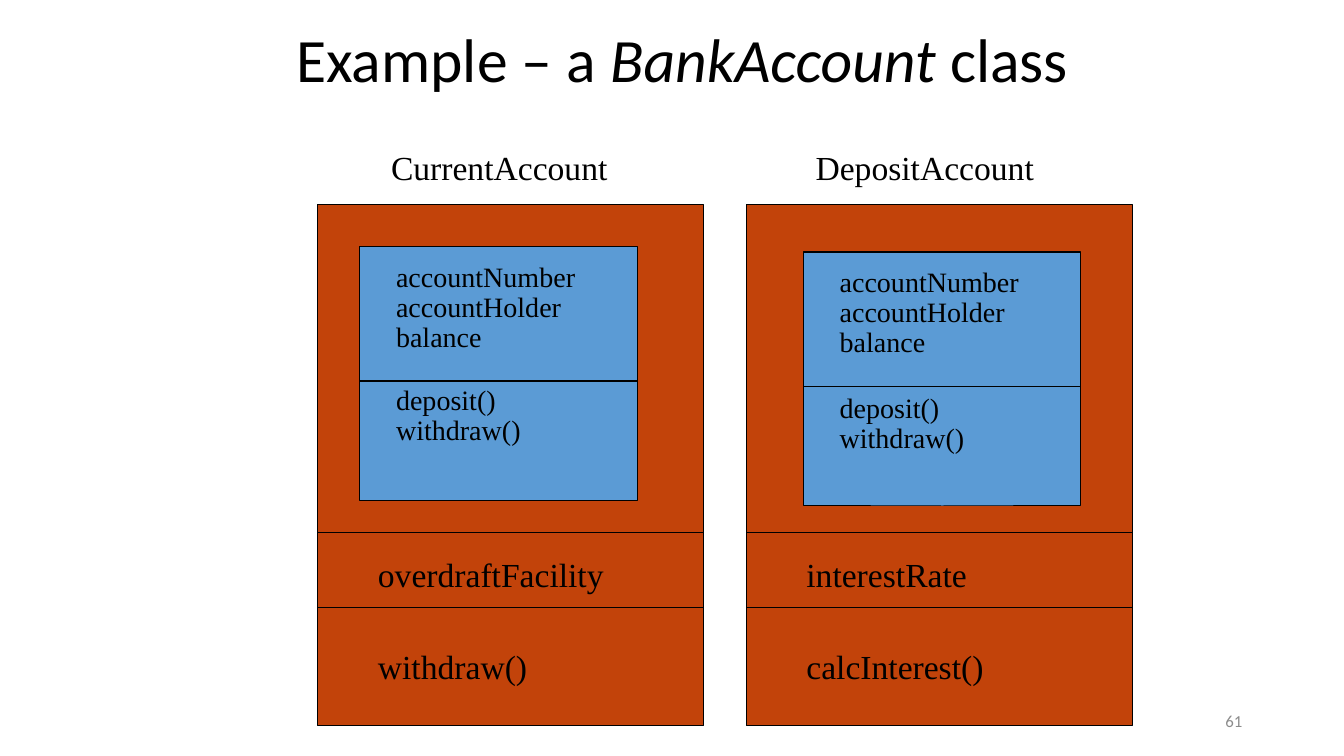
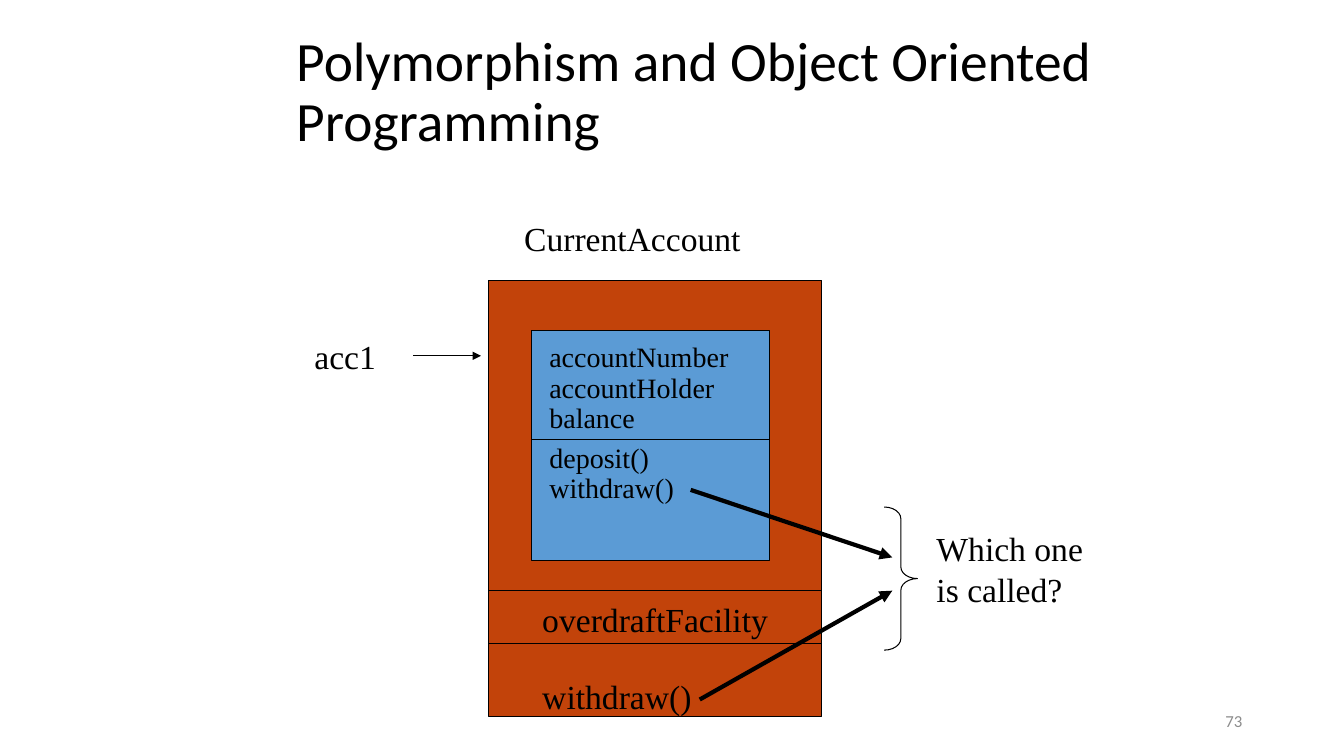
from lxml import etree
from pptx import Presentation
from pptx.dml.color import RGBColor
from pptx.enum.shapes import MSO_CONNECTOR, MSO_SHAPE
from pptx.enum.text import MSO_ANCHOR, PP_ALIGN
from pptx.oxml.ns import qn
from pptx.util import Inches, Pt

RECT, BRACE = MSO_SHAPE.RECTANGLE, MSO_SHAPE.RIGHT_BRACE
STRAIGHT = MSO_CONNECTOR.STRAIGHT
TOP, MIDDLE = MSO_ANCHOR.TOP, MSO_ANCHOR.MIDDLE
LEFT, RIGHT = PP_ALIGN.LEFT, PP_ALIGN.RIGHT

BLACK, GREY, ORANGE, BLUE = "000000", "8C8C8C", "C2430A", "5B9BD5"
SANS, SERIF = "Calibri", "Times New Roman"

FIELDS = ["accountNumber", "accountHolder", "balance"]
METHODS = ["deposit()", "withdraw()"]

# Boxes are left, top, width, height. Splits are the heights of the dividing lines.
# Pads are the text's distance from the left (and top) of its box.
WIDE = dict(splits=(5.28, 6.03), member_tops=(5.45, 6.36), member_pad=0.5,
            base_pad=(0.26, 0.11), base_size=(2.75, 2.52), base_split=1.33)
NARROW = dict(splits=(5.86, 6.38), member_tops=(5.89, 6.66), member_pad=0.43,
              base_pad=(0.08, 0.08), base_size=(2.36, 2.28), base_split=1.08)

SLIDES = [
    dict(
        title=[("Example – a ", False), ("BankAccount", True), (" class", False)],
        title_top=0, title_size=44, number="61",
        cards=[
            dict(WIDE, name="CurrentAccount", name_at=(3.78, 1.41),
                 box=(3.15, 2.03, 3.83, 5.17), base_at=(3.57, 2.45),
                 methods_gap=0, members=("overdraftFacility", "withdraw()")),
            dict(WIDE, name="DepositAccount", name_at=(7.99, 1.41),
                 box=(7.4, 2.03, 3.83, 5.17), base_at=(7.97, 2.5),
                 methods_gap=0.03, members=("interestRate", "calcInterest()")),
        ],
    ),
    dict(
        title=[("Polymorphism and Object Oriented Programming", False)],
        title_top=0.3, title_size=39.6, number="73",
        cards=[
            dict(NARROW, name="CurrentAccount", name_at=(5.1, 2.11),
                 box=(4.85, 2.78, 3.3, 4.33), base_at=(5.27, 3.28),
                 methods_gap=0, members=("overdraftFacility", "withdraw()")),
        ],
        labels=[("acc1", (3.02, 3.28, 1.33, 0.5)),
                ("Which one is called?", (9.19, 5.19, 1.83, 0.91))],
        arrows=[((4.1, 3.53), (4.77, 3.53), 0.75),
                ((6.85, 4.86), (8.85, 5.53), 3),
                ((6.94, 6.94), (8.85, 5.86), 3)],
        brace=(8.77, 5.03, 0.33, 1.42),
    ),
]


def rgb(value):
    return RGBColor.from_string(value)


def add_text(s, paragraphs, box, size=24, font=SERIF, color=BLACK,
             align=LEFT, anchor=TOP, spacing=None):
    """Each paragraph is a string or a list of (text, italic) runs."""
    tf = s.shapes.add_textbox(*map(Inches, box)).text_frame
    tf.word_wrap = True
    tf.vertical_anchor = anchor
    for i, runs in enumerate(paragraphs):
        p = tf.paragraphs[0] if i == 0 else tf.add_paragraph()
        p.alignment = align
        p.line_spacing = spacing
        for text, italic in [(runs, False)] if isinstance(runs, str) else runs:
            r = p.add_run()
            r.text = text
            r.font.name, r.font.size, r.font.italic = font, Pt(size), italic
            r.font.color.rgb = rgb(color)


def add_outlined(s, kind, box, fill=None):
    sp = s.shapes.add_shape(kind, *map(Inches, box))
    sp.shadow.inherit = False
    if fill:
        sp.fill.solid()
        sp.fill.fore_color.rgb = rgb(fill)
    else:
        sp.fill.background()
    sp.line.color.rgb = rgb(BLACK)
    sp.line.width = Pt(0.75)
    return sp


def add_line(s, start, end, width=0.75, arrow=False):
    line = s.shapes.add_connector(STRAIGHT, *map(Inches, (*start, *end)))
    line.line.color.rgb = rgb(BLACK)
    line.line.width = Pt(width)
    if arrow:
        etree.SubElement(line.line._get_or_add_ln(), qn("a:tailEnd"), type="triangle")
    etree.SubElement(line._element.spPr, qn("a:effectLst"))


def add_card(s, card):
    """Draw a subclass box with its base class nested inside."""
    x, y, w, h = card["box"]
    add_text(s, [card["name"]], (*card["name_at"], 2.42, 0.5))
    add_outlined(s, RECT, card["box"], ORANGE)
    for split, top, member in zip(card["splits"], card["member_tops"], card["members"]):
        add_line(s, (x, split), (x + w, split))
        add_text(s, [member], (x + card["member_pad"], top, 3, 0.5))

    bx, by = card["base_at"]
    bw, bh = card["base_size"]
    pad_x, pad_y = card["base_pad"]
    split = by + card["base_split"]
    add_outlined(s, RECT, (bx, by, bw, bh), BLUE)
    add_line(s, (bx, split), (bx + bw, split))
    for lines, top, height in ((FIELDS, by + pad_y, 1),
                               (METHODS, split + card["methods_gap"], 0.7)):
        add_text(s, lines, (bx + pad_x, top, 2.2, height), size=20, spacing=0.9)


def build_slide(prs, content):
    s = prs.slides.add_slide(prs.slide_layouts[6])
    add_text(s, [content["title"]], (2.84, content["title_top"], 8.5, 1.25),
             size=content["title_size"], font=SANS, anchor=MIDDLE, spacing=0.9)
    for card in content["cards"]:
        add_card(s, card)
    for text, box in content.get("labels", []):
        add_text(s, [text], box)
    for start, end, width in content.get("arrows", []):
        add_line(s, start, end, width, arrow=True)
    if "brace" in content:
        brace = add_outlined(s, BRACE, content["brace"])
        brace.adjustments[0] = 0.35
    add_text(s, [content["number"]], (9.42, 6.95, 3, 0.4), size=12, font=SANS,
             color=GREY, align=RIGHT, anchor=MIDDLE)


def main():
    prs = Presentation()
    prs.slide_width, prs.slide_height = Inches(13.33), Inches(7.5)
    for content in SLIDES:
        build_slide(prs, content)
    prs.save("out.pptx")


if __name__ == "__main__":
    main()
